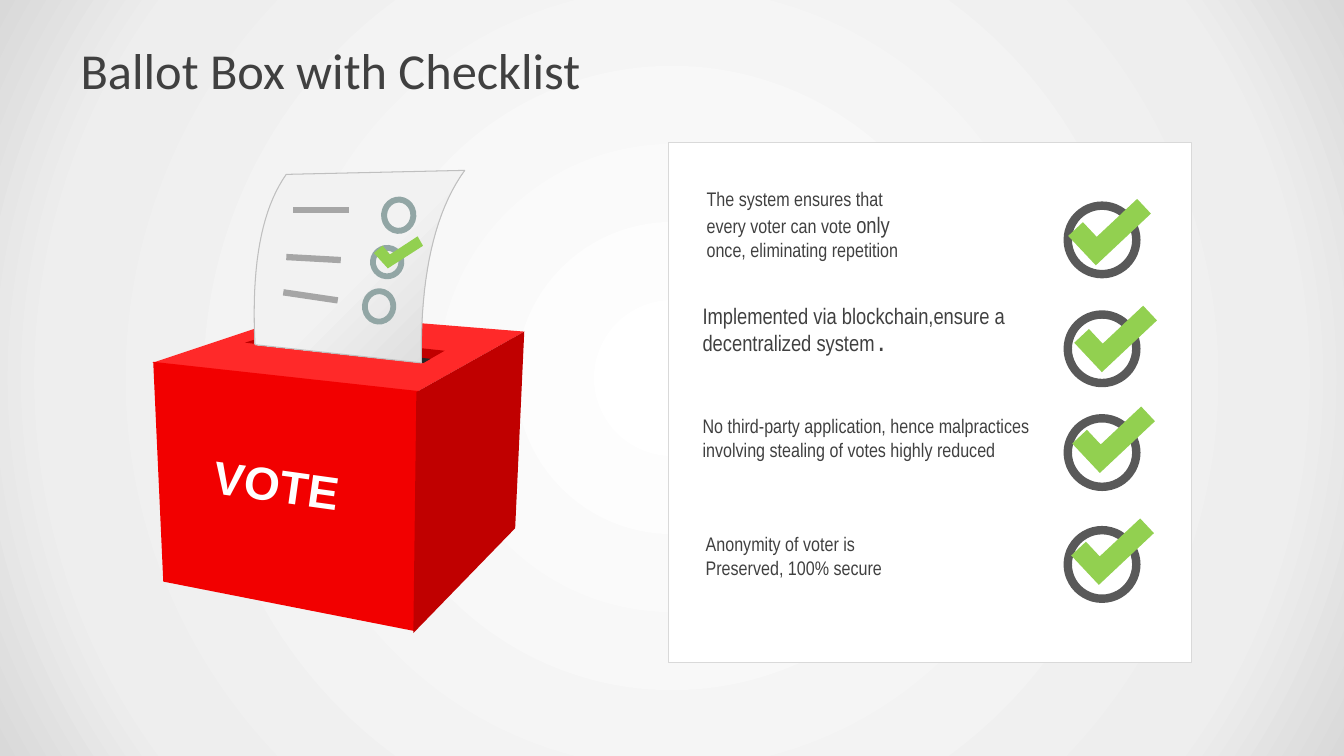
from dataclasses import dataclass

from lxml.etree import SubElement
from pptx import Presentation
from pptx.dml.color import RGBColor
from pptx.enum.shapes import MSO_CONNECTOR, MSO_SHAPE
from pptx.enum.text import MSO_ANCHOR
from pptx.oxml.ns import qn
from pptx.util import Inches, Pt


@dataclass(frozen=True)
class Theme:
    """Colours, fonts and type sizes of the slide."""
    ink: str = "404040"
    white: str = "FFFFFF"
    box_top: str = "FF2929"
    box_front: str = "F20000"
    box_side: str = "C00000"
    slot: str = "262626"
    tick: str = "92D050"
    choice: str = "92A6A5"
    writing: str = "A6A6A6"
    paper_edge: str = "BFBFBF"
    panel_edge: str = "D9D9D9"
    ring: str = "595959"
    title_font: str = "Calibri"
    body_font: str = "Arial Narrow"
    vote_font: str = "Arial"
    stop_font: str = "Courier New"
    title: int = 36
    vote: int = 33
    large: int = 16
    body: int = 14


THEME = Theme()
BACKDROP = [(0, "FFFFFF"), (81, "EEEEEE"), (100, "D9D9D9")]
PAPER_SHADE = [(0, "D9D9D9"), (50, "F2F2F2"), (100, "F2F2F2")]

# Each benefit: ring top, tick corner, text frame, paragraphs of (text, size, font)
BODY, LARGE, NARROW = THEME.body, THEME.large, THEME.body_font
BENEFITS = [
    (2.04, (10.63, 2.03), (6.91, 1.81, 3.13, 0.84),
     [[("The system ensures that", BODY, NARROW)],
      [("every voter can vote ", BODY, NARROW), ("only", LARGE, NARROW)],
      [("once, eliminating repetition", BODY, NARROW)]]),
    (3.12, (10.69, 3.09), (6.87, 2.95, 3.83, 0.64),
     [[("Implemented via blockchain,ensure a decentralized system", LARGE, NARROW),
       (".", LARGE, THEME.stop_font)]]),
    (4.15, (10.67, 4.09), (6.87, 4.06, 3.83, 0.81),
     [[("No third-party application, hence malpractices involving "
        "stealing of votes highly reduced", BODY, NARROW)]]),
    (5.26, (10.66, 5.2), (6.9, 5.23, 3.01, 0.57),
     [[("Anonymity of voter is", BODY, NARROW)],
      [("Preserved, 100% secure", BODY, NARROW)]]),
]

BOX_FACES = [
    (THEME.box_top, [(2.98, 3.11), (5.2, 3.29), (4.13, 3.89), (1.51, 3.6)]),
    (THEME.box_front, [(1.52, 3.59), (4.15, 3.88), (4.11, 6.26), (1.62, 5.77)]),
    (THEME.box_side, [(5.2, 3.29), (5.11, 5.24), (4.1, 6.28), (4.13, 3.89)]),
    (THEME.box_side, [(2.74, 3.3), (4.41, 3.48), (4.2, 3.6), (2.43, 3.4)]),
    (THEME.slot, [(2.7, 3.38), (4.27, 3.56), (4.2, 3.6), (2.6, 3.42)]),
]
# Curved sides of the ballot: start, control point, end
BALLOT_RIGHT = [(4.61, 1.69), (4.16, 2.31), (4.18, 3.6)]
BALLOT_LEFT = [(2.53, 3.42), (2.47, 2.25), (2.84, 1.73)]
BALLOT_CHOICES = [(3.78, 1.95, 0.35, 0.37), (3.67, 2.43, 0.34, 0.34),
                  (3.59, 2.86, 0.34, 0.36)]
BALLOT_TICK = [(4.13, 2.33), (4.19, 2.42), (3.86, 2.67), (3.71, 2.53),
               (3.79, 2.45), (3.87, 2.53)]
BALLOT_WRITING = [(2.91, 2.08, 3.46, 2.08), (2.84, 2.55, 3.38, 2.58),
                  (2.81, 2.9, 3.35, 2.98)]
BALLOT_TILT = 4.5
TICK_TILT = 316.8
RING_LEFT, RING_SIZE = 10.59, 0.68
TICK_LENGTH, TICK_HEIGHT, TICK_ARM = 0.75, 0.4, 0.2


def rgb(colour):
    """Turn a hex string into a colour."""
    return RGBColor.from_string(colour)


def style(shape, fill=None, line=None, weight=0.0, tilt=0.0):
    """Set fill, outline and rotation, and drop the shadow."""
    shape.shadow.inherit = False
    if fill:
        shape.fill.solid()
        shape.fill.fore_color.rgb = rgb(fill)
    else:
        shape.fill.background()
    if line:
        shape.line.color.rgb = rgb(line)
        shape.line.width = Pt(weight)
    else:
        shape.line.fill.background()
    shape.rotation = tilt
    return shape


def shade(fill, element, stops, direction, **settings):
    """Give a fill gradient stops and a direction node; return that node."""
    fill.gradient()
    gradient = element.find(f".//{qn('a:gradFill')}")
    for child in list(gradient):
        gradient.remove(child)
    stop_list = SubElement(gradient, qn("a:gsLst"))
    for position, colour in stops:
        stop = SubElement(stop_list, qn("a:gs"), pos=str(position * 1000))
        SubElement(stop, qn("a:srgbClr"), val=colour)
    return SubElement(gradient, qn(direction), **settings)


def preset(shapes, kind, frame, **look):
    """Add a styled preset shape."""
    return style(shapes.add_shape(kind, *map(Inches, frame)), **look)


def outline(shapes, points, **look):
    """Add a styled closed polygon through the points."""
    start, *rest = [(Inches(x), Inches(y)) for x, y in points]
    builder = shapes.build_freeform(*start)
    builder.add_line_segments(rest, close=True)
    return style(builder.convert_to_shape(), **look)


def curve(start, control, end, steps=20):
    """Return points along a quadratic curve."""
    return [tuple((1 - t) ** 2 * a + 2 * t * (1 - t) * b + t * t * c
                  for a, b, c in zip(start, control, end))
            for t in (step / steps for step in range(steps + 1))]


def tick_corners(left, top):
    """Return the corners of an L that becomes a tick once tilted."""
    right, bottom = left + TICK_LENGTH, top + TICK_HEIGHT
    inner_x, inner_y = left + TICK_ARM, bottom - TICK_ARM
    return [(left, top), (inner_x, top), (inner_x, inner_y),
            (right, inner_y), (right, bottom), (left, bottom)]


def write(shapes, frame, paragraphs, colour=THEME.ink, bold=False, wrap=True):
    """Add a text box, run by run."""
    box = shapes.add_textbox(*map(Inches, frame))
    body = box.text_frame
    body.word_wrap = wrap
    for index, runs in enumerate(paragraphs):
        paragraph = body.add_paragraph() if index else body.paragraphs[0]
        for words, size, font in runs:
            run = paragraph.add_run()
            run.text = words
            run.font.size, run.font.name = Pt(size), font
            run.font.bold = bold
            run.font.color.rgb = rgb(colour)
    return box


def draw_ballot_box(shapes):
    """Draw the red box and its lettering."""
    for colour, corners in BOX_FACES:
        outline(shapes, corners, fill=colour)
    vote = write(shapes, (2.02, 4.48, 1.46, 0.66),
                 [[("VOTE", THEME.vote, THEME.vote_font)]],
                 THEME.white, bold=True, wrap=False)
    vote.rotation = 8


def draw_ballot(shapes):
    """Draw the ballot paper with its choices and writing."""
    paper = outline(shapes, curve(*BALLOT_RIGHT) + curve(*BALLOT_LEFT),
                    line=THEME.paper_edge)
    shade(paper.fill, paper.element, PAPER_SHADE, "a:lin",
          ang=str(225 * 60000), scaled="0")
    for frame in BALLOT_CHOICES:
        choice = preset(shapes, MSO_SHAPE.DONUT, frame,
                        fill=THEME.choice, tilt=BALLOT_TILT)
        choice.adjustments[0] = 0.17
    outline(shapes, BALLOT_TICK, fill=THEME.tick, tilt=BALLOT_TILT)
    for ends in BALLOT_WRITING:
        stroke = shapes.add_connector(MSO_CONNECTOR.STRAIGHT, *map(Inches, ends))
        stroke.line.color.rgb = rgb(THEME.writing)
        stroke.line.width = Pt(4.5)
        SubElement(stroke.element.spPr, qn("a:effectLst"))


def draw_checklist(shapes):
    """Draw the panel with its ticked benefits."""
    preset(shapes, MSO_SHAPE.RECTANGLE, (6.63, 1.41, 5.19, 5.16),
           fill=THEME.white, line=THEME.panel_edge, weight=0.5)
    for ring_top, tick_corner, frame, paragraphs in BENEFITS:
        preset(shapes, MSO_SHAPE.OVAL, (RING_LEFT, ring_top, RING_SIZE, RING_SIZE),
               line=THEME.ring, weight=6)
        write(shapes, frame, paragraphs)
        outline(shapes, tick_corners(*tick_corner), fill=THEME.tick, tilt=TICK_TILT)


def main():
    """Build and save the slide."""
    deck = Presentation()
    deck.slide_width, deck.slide_height = Inches(13.33), Inches(7.5)
    slide = deck.slides.add_slide(deck.slide_layouts[6])
    glow = shade(slide.background.fill, slide.element, BACKDROP, "a:path",
                 path="circle")
    SubElement(glow, qn("a:fillToRect"), dict.fromkeys("ltrb", "50000"))

    title = write(slide.shapes, (0.67, 0.3, 12, 0.78),
                  [[("Ballot Box with Checklist", THEME.title, THEME.title_font)]])
    title.text_frame.vertical_anchor = MSO_ANCHOR.MIDDLE
    title.text_frame.margin_left = title.text_frame.margin_right = Inches(0.13)
    draw_ballot_box(slide.shapes)
    draw_ballot(slide.shapes)
    draw_checklist(slide.shapes)
    deck.save("out.pptx")


main()
